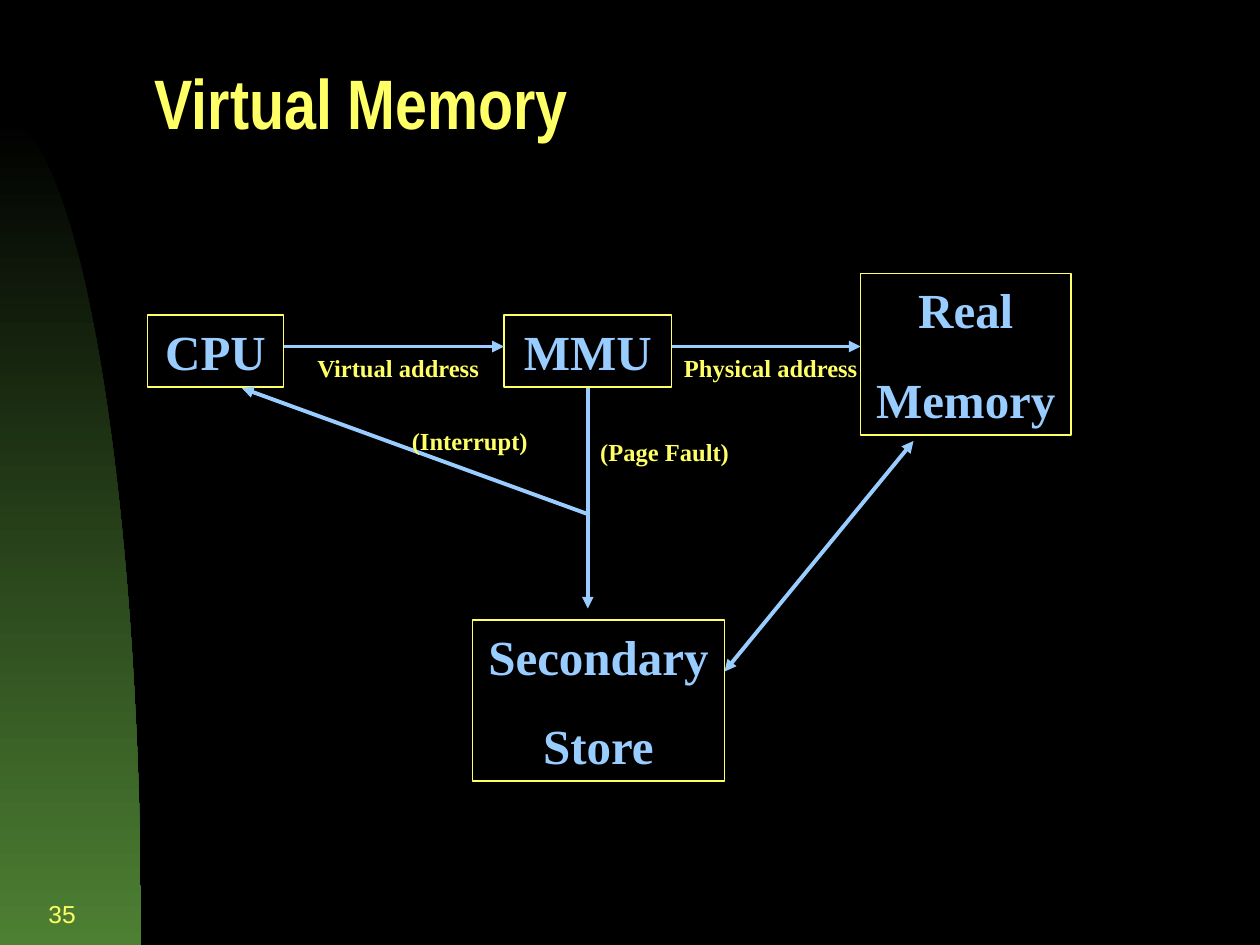
from dataclasses import dataclass
from math import cos, pi, sin

from lxml import etree
from pptx import Presentation
from pptx.dml.color import RGBColor
from pptx.enum import shapes, text
from pptx.oxml import ns
from pptx.util import Inches, Pt


@dataclass(frozen=True)
class Theme:
    background: RGBColor = RGBColor(0, 0, 0)
    swoosh_end: RGBColor = RGBColor(0x4D, 0x80, 0x33)
    accent: RGBColor = RGBColor(0xFF, 0xFF, 0x66)
    body: RGBColor = RGBColor(0x99, 0xCC, 0xFF)
    title_font: str = "Arial Narrow"
    body_font: str = "Times New Roman"
    number_font: str = "Arial"
    title_size: int = 40
    unit_size: int = 28
    label_size: int = 14
    unit_gap: float = 17.5
    border: float = 1
    arrow: float = 2.25


THEME = Theme()


def write(frame, lines, font, size, color, bold=True, align=text.PP_ALIGN.LEFT,
          anchor=text.MSO_ANCHOR.TOP, wrap=True, gap=0, spacing=None):
    frame.word_wrap = wrap
    frame.vertical_anchor = anchor
    for index, line in enumerate(lines):
        paragraph = frame.paragraphs[0] if index == 0 else frame.add_paragraph()
        paragraph.alignment = align
        if index:
            paragraph.space_before = Pt(gap)
        if spacing:
            paragraph.line_spacing = spacing
        run = paragraph.add_run()
        run.text = line
        run.font.name = font
        run.font.size = Pt(size)
        run.font.bold = bold
        run.font.color.rgb = color


def add_text(slide, box, line, font, size, **style):
    frame = slide.shapes.add_textbox(*map(Inches, box)).text_frame
    write(frame, [line], font, size, THEME.accent, **style)


def add_swoosh(slide, box, steps=60):
    left, top, width, height = box
    angles = [pi / 2 * step / steps for step in range(steps + 1)]
    curve = [(Inches(left + width * sin(angle)),
              Inches(top + height * (1 - cos(angle)))) for angle in angles]
    builder = slide.shapes.build_freeform(*curve[0])
    builder.add_line_segments(curve[1:] + [(Inches(left), Inches(top + height))])
    swoosh = builder.convert_to_shape()
    swoosh.shadow.inherit = False
    swoosh.line.fill.background()
    swoosh.fill.gradient()
    swoosh.fill.gradient_angle = 270
    start, end = swoosh.fill.gradient_stops
    start.position, end.position = 0, 1
    start.color.rgb, end.color.rgb = THEME.background, THEME.swoosh_end


def add_title(slide, box):
    add_text(slide, box, "Virtual Memory", THEME.title_font, THEME.title_size,
             anchor=text.MSO_ANCHOR.MIDDLE, spacing=0.7)


def add_page_number(slide, box):
    add_text(slide, box, "35", THEME.number_font, THEME.label_size, bold=False,
             align=text.PP_ALIGN.RIGHT, anchor=text.MSO_ANCHOR.MIDDLE)


def add_unit(slide, box, lines):
    unit = slide.shapes.add_shape(shapes.MSO_SHAPE.RECTANGLE, *map(Inches, box))
    unit.shadow.inherit = False
    unit.fill.background()
    unit.line.color.rgb = THEME.accent
    unit.line.width = Pt(THEME.border)
    write(unit.text_frame, lines, THEME.body_font, THEME.unit_size, THEME.body,
          align=text.PP_ALIGN.CENTER, gap=THEME.unit_gap)


def add_arrow(slide, start, end, both_ends=False):
    arrow = slide.shapes.add_connector(
        shapes.MSO_CONNECTOR.STRAIGHT, *map(Inches, start + end))
    arrow.line.color.rgb = THEME.body
    arrow.line.width = Pt(THEME.arrow)
    line = arrow.line._get_or_add_ln()
    for tag in ["a:headEnd", "a:tailEnd"] if both_ends else ["a:tailEnd"]:
        etree.SubElement(line, ns.qn(tag), type="triangle")
    etree.SubElement(arrow._element.spPr, ns.qn("a:effectLst"))


def add_diagram(slide, box):
    left, top, width, height = box
    right, bottom = left + width, top + height
    row_top, row_height = top + 0.33, 0.57
    bus = top + 0.58
    cpu_right = left + 1.08
    mmu_left, mmu_right = left + 2.83, left + 4.16
    mmu_center = (mmu_left + mmu_right) / 2
    memory_left = right - 1.67
    store_left, store_right = left + 2.58, left + 4.58
    tall = 1.28
    store_top = bottom - tall
    row_bottom = top + 0.91

    add_unit(slide, (left, row_top, cpu_right - left, row_height), ["CPU"])
    add_unit(slide, (mmu_left, row_top, mmu_right - mmu_left, row_height), ["MMU"])
    add_unit(slide, (memory_left, top, right - memory_left, tall), ["Real", "Memory"])
    add_unit(slide, (store_left, store_top, store_right - store_left, tall),
             ["Secondary", "Store"])

    add_arrow(slide, (cpu_right, bus), (mmu_left, bus))
    add_arrow(slide, (mmu_right, bus), (memory_left, bus))
    add_arrow(slide, (mmu_center, row_bottom), (mmu_center, store_top - 0.09))
    add_arrow(slide, (mmu_center, row_bottom + 1), (left + 0.75, row_bottom))
    add_arrow(slide, (store_right, store_top + 0.41),
              (memory_left + 0.42, top + 1.33), both_ends=True)

    labels = [
        ("Virtual address", cpu_right + 0.17, bus, 1.49),
        ("Physical address", mmu_right, bus, 1.58),
        ("(Page Fault)", mmu_center, top + 1.25, 1.22),
        ("(Interrupt)", left + 2, top + 1.16, 1.12),
    ]
    for label, label_left, label_top, label_width in labels:
        add_text(slide, (label_left, label_top, label_width, 0.34), label,
                 THEME.body_font, THEME.label_size, wrap=False)


def main():
    deck = Presentation()
    deck.slide_width, deck.slide_height = Inches(10), Inches(7.5)
    slide = deck.slides.add_slide(deck.slide_layouts[6])
    slide.background.fill.solid()
    slide.background.fill.fore_color.rgb = THEME.background
    add_swoosh(slide, (0, 0.92, 1.12, 6.58))
    add_title(slide, (1.13, 0.36, 8.62, 1.05))
    add_diagram(slide, (1.17, 2.17, 7.33, 4.03))
    add_page_number(slide, (0, 7, 0.7, 0.5))
    deck.save("out.pptx")


if __name__ == "__main__":
    main()
